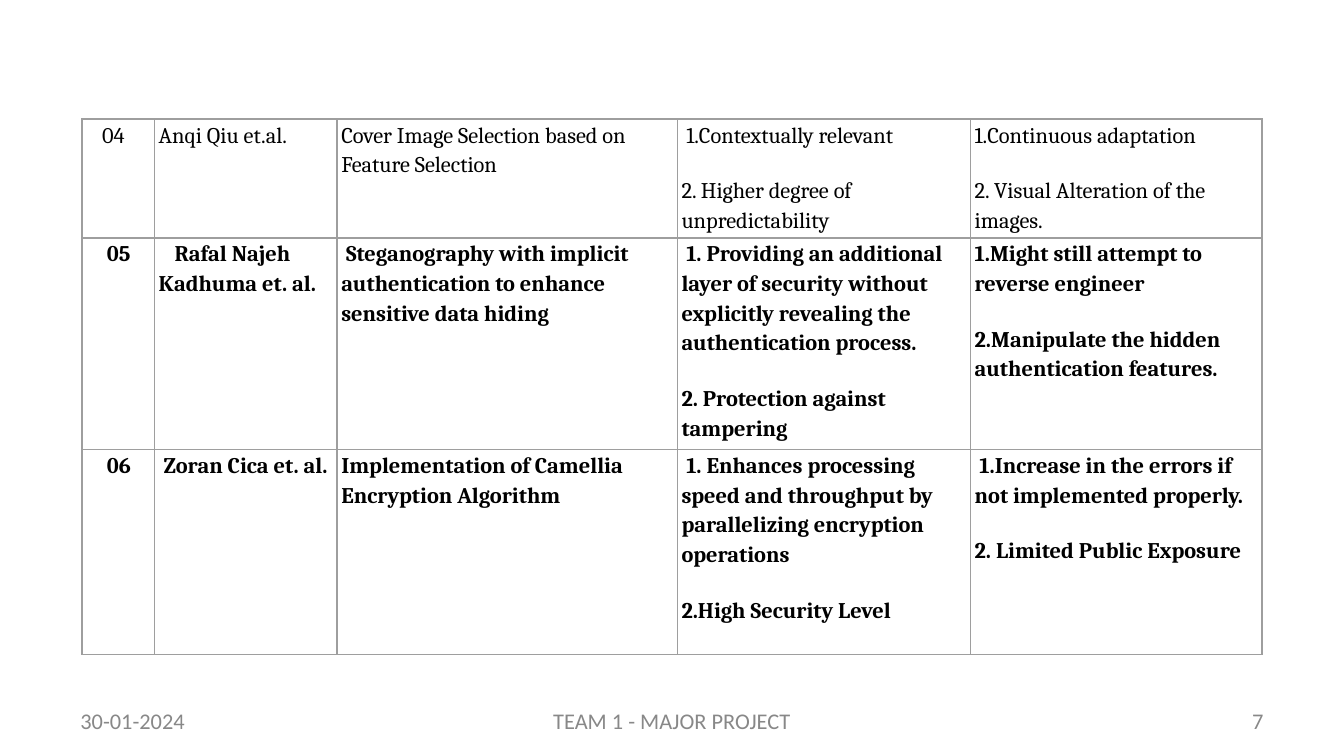
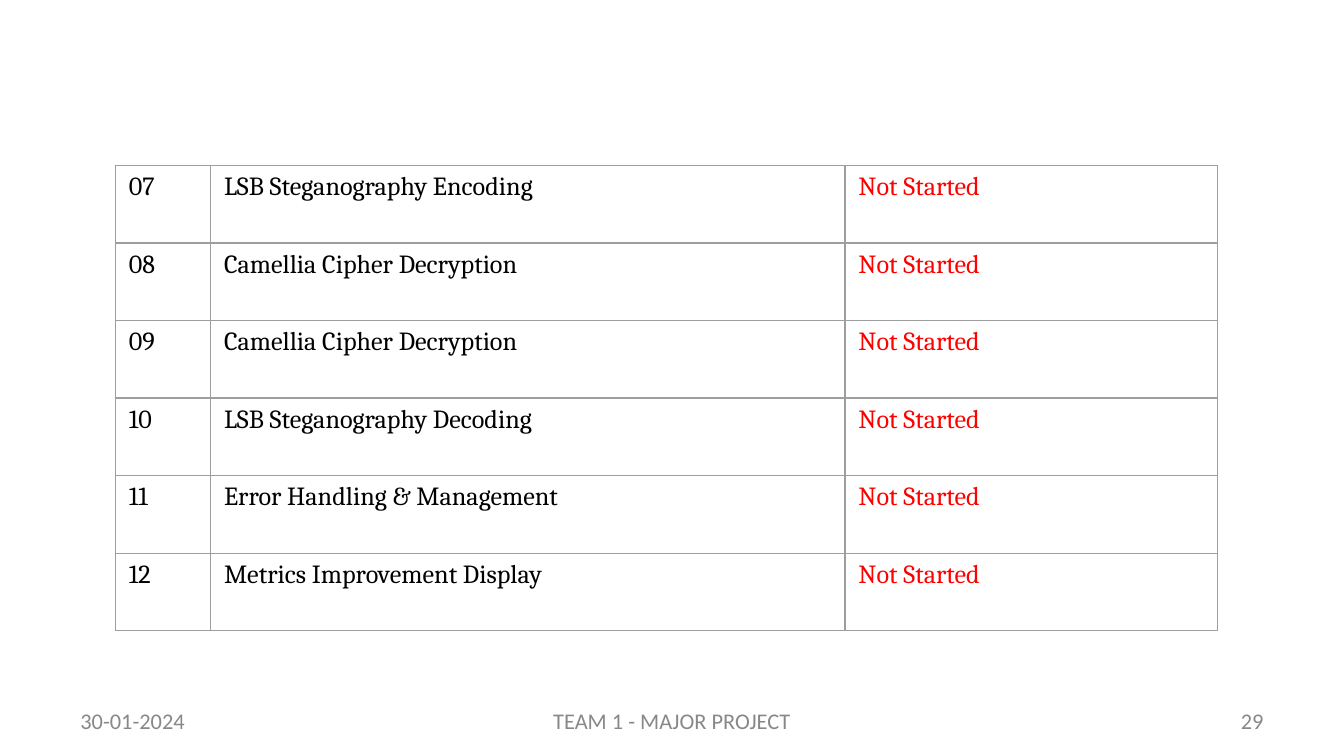
from lxml import etree
from pptx import Presentation
from pptx import util as u
from pptx.dml.color import RGBColor
from pptx.enum import text
from pptx.oxml.ns import qn

BLACK, RED, GREY, BORDER = "000000", "FF0000", "888888", "9E9E9E"
SPACE = 0.09    # width of a small first-line shift, cm
INDENT = 0.3    # first-line indent of numbers and names, cm

# Each cell is a list of (text, first-line indent in cm).
PAPERS = [
    [[("04", INDENT)],
     [("Anqi Qiu et.al.", 0)],
     [("Cover Image Selection based on Feature Selection", 0)],
     [("1.Contextually relevant", SPACE), ("2. Higher degree of unpredictability", 0)],
     [("1.Continuous adaptation", 0), ("2. Visual Alteration of the images.", 0)]],
    [[("05", INDENT + SPACE)],
     [("Rafal Najeh Kadhuma et. al.", INDENT)],
     [("Steganography with implicit authentication to enhance sensitive data hiding", SPACE)],
     [("1. Providing an additional layer of security without explicitly revealing "
       "the authentication process.", SPACE),
      ("2. Protection against tampering", 0)],
     [("1.Might still attempt to reverse engineer", 0),
      ("2.Manipulate the hidden authentication features.", 0)]],
    [[("06", INDENT + SPACE)],
     [("Zoran Cica et. al.", SPACE)],
     [("Implementation of Camellia Encryption Algorithm", 0)],
     [("1. Enhances processing speed and throughput by parallelizing encryption "
       "operations", SPACE),
      ("2.High Security Level", 0)],
     [("1.Increase in the errors if not implemented properly.", SPACE),
      ("2. Limited Public Exposure", 0)]],
]

TASKS = [
    "LSB Steganography Encoding",
    "Camellia Cipher Decryption",
    "Camellia Cipher Decryption",
    "LSB Steganography Decoding",
    "Error Handling & Management",
    "Metrics Improvement Display",
]


def rgb(value):
    return RGBColor.from_string(value)


class Deck:
    """Holds the shared style and the current slide."""

    body_font, footer_font = "Cambria", "Calibri"

    def __init__(self):
        self.prs = Presentation()
        self.prs.slide_width, self.prs.slide_height = u.Cm(25.4), u.Cm(14.29)
        self.slide = None

    def new_slide(self, number):
        self.slide = self.prs.slides.add_slide(self.prs.slide_layouts[6])
        self.footer("30-01-2024", 1.27, 5.93, text.PP_ALIGN.LEFT)
        self.footer("TEAM 1 - MAJOR PROJECT", 8.68, 8.04, text.PP_ALIGN.CENTER)
        self.footer(str(number), 18.2, 5.93, text.PP_ALIGN.RIGHT)

    def run(self, paragraph, words, size, color, font, bold=False):
        run = paragraph.add_run()
        run.text = words
        run.font.size, run.font.name, run.font.bold = u.Pt(size), font, bold
        run.font.color.rgb = rgb(color)

    def footer(self, words, left, width, align):
        box = self.slide.shapes.add_textbox(u.Cm(left), u.Cm(13.24), u.Cm(width), u.Cm(0.76))
        frame = box.text_frame
        frame.word_wrap = True
        frame.vertical_anchor = text.MSO_ANCHOR.MIDDLE
        frame.paragraphs[0].alignment = align
        self.run(frame.paragraphs[0], words, 12, GREY, self.footer_font)

    def table(self, left, top, widths, heights):
        """Add an unfilled table with thin grey cell borders."""
        table = self.slide.shapes.add_table(
            len(heights), len(widths), u.Cm(left), u.Cm(top),
            u.Cm(sum(widths)), u.Cm(sum(heights))).table
        table.first_row = table.horz_banding = False
        for column, width in zip(table.columns, widths):
            column.width = u.Cm(width)
        for row, height in zip(table.rows, heights):
            row.height = u.Cm(height)
        for cell in table.iter_cells():
            self.borders(cell)
            cell.fill.background()
        return table

    def borders(self, cell):
        properties = cell._tc.get_or_add_tcPr()
        for side in ("lnL", "lnR", "lnT", "lnB"):
            line = etree.SubElement(properties, qn("a:" + side), w=str(u.Pt(0.75)))
            fill = etree.SubElement(line, qn("a:solidFill"))
            etree.SubElement(fill, qn("a:srgbClr"), val=BORDER)

    def cell_text(self, cell, words, size, color=BLACK):
        self.run(cell.text_frame.paragraphs[0], words, size, color, self.body_font)

    def cell_points(self, cell, points, size, bold):
        """Fill a tight cell with spaced paragraphs, each with its first-line indent."""
        cell.margin_left = cell.margin_right = u.Cm(0.08)
        cell.margin_top = cell.margin_bottom = 0
        frame = cell.text_frame
        for i, (words, indent) in enumerate(points):
            paragraph = frame.add_paragraph() if i else frame.paragraphs[0]
            properties = paragraph._p.get_or_add_pPr()
            properties.set("marL", "0")
            properties.set("indent", str(u.Cm(indent)))
            paragraph.line_spacing = 1.15
            if i:
                paragraph.space_before = u.Pt(14)
            self.run(paragraph, words, size, BLACK, self.body_font, bold)


def literature_slide(deck):
    deck.new_slide(7)
    survey = deck.table(1.55, 2.25, [1.37, 3.45, 6.43, 5.54, 5.51], [2.17, 3.86, 3.88])
    for r, paper in enumerate(PAPERS):
        for c, points in enumerate(paper):
            deck.cell_points(survey.cell(r, c), points, 12, bold=r > 0)


def status_slide(deck):
    deck.new_slide(29)
    status = deck.table(2.18, 3.13, [1.8, 11.99, 7.04], [1.465] * len(TASKS))
    for r, task in enumerate(TASKS):
        deck.cell_text(status.cell(r, 0), f"{r + 7:02}", 14)
        deck.cell_text(status.cell(r, 1), task, 14)
        deck.cell_text(status.cell(r, 2), "Not Started", 14, RED)


def main():
    deck = Deck()
    literature_slide(deck)
    status_slide(deck)
    deck.prs.save("out.pptx")


if __name__ == "__main__":
    main()
